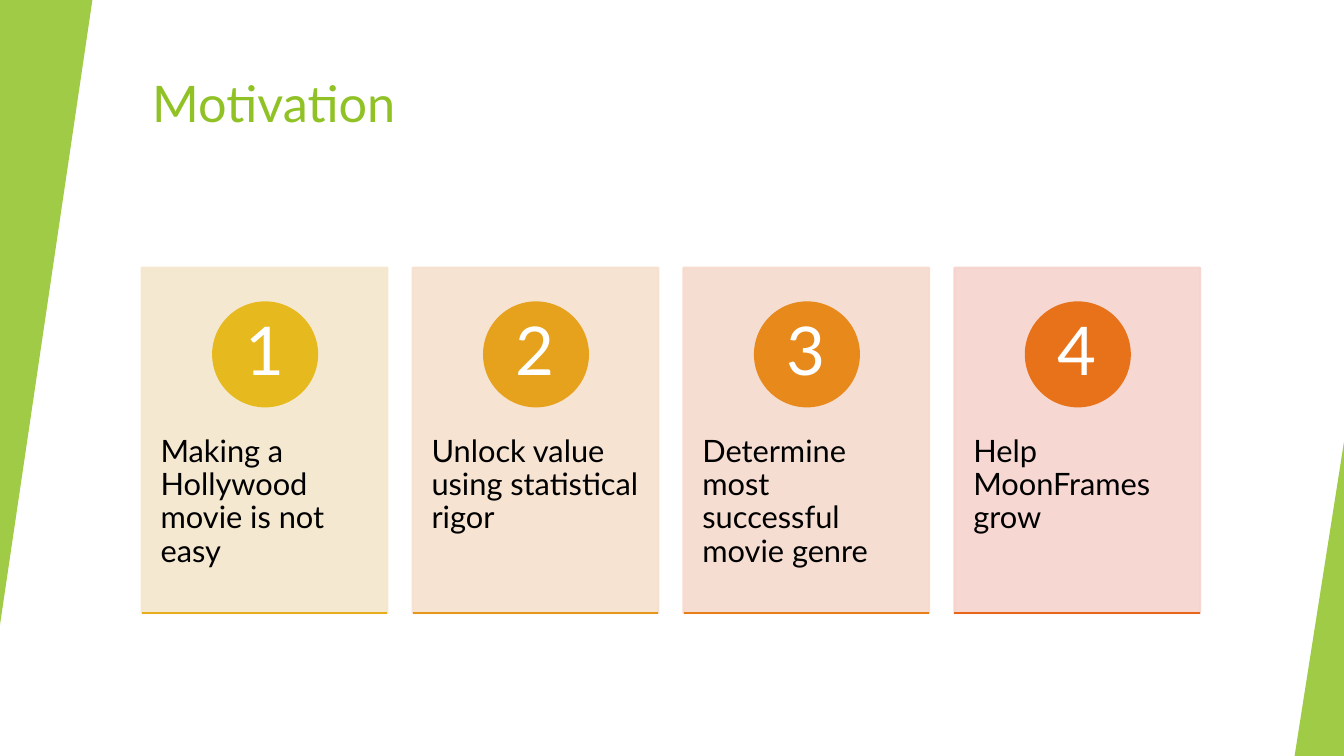
from dataclasses import dataclass
from lxml.etree import SubElement
from pptx import Presentation
from pptx.dml.color import RGBColor
from pptx.enum.shapes import MSO_CONNECTOR, MSO_SHAPE
from pptx.enum.text import MSO_ANCHOR as Anchor, PP_ALIGN as Align
from pptx.oxml.ns import qn
from pptx.slide import Slide
from pptx.util import Emu, Pt

EMU_PER_PX = 9525


@dataclass(frozen=True)
class Theme:
    font: str = "Lato"
    green: str = "90C226"
    ink: str = "000000"
    white: str = "FFFFFF"
    title_size: int = 36
    reason_size: int = 22
    number_size: int = 48
    line_width: float = 1.5
    edge_opacity: int = 85
    card_opacity: int = 90


@dataclass(frozen=True)
class Box:
    left: int
    top: int
    width: int
    height: int

    def emu(self) -> tuple[Emu, Emu, Emu, Emu]:
        return px(self.left), px(self.top), px(self.width), px(self.height)


@dataclass(frozen=True)
class Reason:
    text: str
    card: str
    badge: str
    rule: str


THEME = Theme()
CARD_LEFT, CARD_TOP, CARD_PITCH = 135, 255, 258
CARD_WIDTH, CARD_HEIGHT = 234, 329
BADGE_SIZE, NUMBER_SIZE = 99, 70

REASONS = (
    Reason("Making a Hollywood movie is not easy", "F5E6CD", "E6B91E", "E6AD1D"),
    Reason("Unlock value using statistical rigor", "F6E0CD", "E6A21C", "E6961B"),
    Reason("Determine most successful movie genre", "F6DACC", "E78A1B", "E77E1A"),
    Reason("Help MoonFrames grow", "F6D3CC", "E77219", "E76618"),
)


def px(length: int) -> Emu:
    return Emu(length * EMU_PER_PX)


def rgb(color: str) -> RGBColor:
    return RGBColor.from_string(color)


def add_filled(slide: Slide, kind: MSO_SHAPE, box: Box, color: str, *,
               opacity: int = 100, outlined: bool = False):
    shape = slide.shapes.add_shape(kind, *box.emu())
    shape.shadow.inherit = False
    shape.fill.solid()
    shape.fill.fore_color.rgb = rgb(color)
    if outlined:
        shape.line.color.rgb = rgb(color)
        shape.line.width = Pt(THEME.line_width)
    else:
        shape.line.fill.background()
    if opacity < 100:
        for tint in shape.element.spPr.iter(qn("a:srgbClr")):
            SubElement(tint, qn("a:alpha"), val=str(opacity * 1000))
    return shape


def add_text(slide: Slide, text: str, box: Box, *, size: int, color: str,
             align: Align = Align.LEFT, anchor: Anchor = Anchor.TOP,
             inset_x: int = 10, inset_y: int = 5, spacing: float = 1.0) -> None:
    frame = slide.shapes.add_textbox(*box.emu()).text_frame
    frame.word_wrap = True
    frame.vertical_anchor = anchor
    frame.margin_left = frame.margin_right = px(inset_x)
    frame.margin_top = frame.margin_bottom = px(inset_y)
    paragraph = frame.paragraphs[0]
    paragraph.alignment = align
    paragraph.line_spacing = spacing
    run = paragraph.add_run()
    run.text = text
    run.font.name = THEME.font
    run.font.size = Pt(size)
    run.font.color.rgb = rgb(color)


def add_rule(slide: Slide, left: int, top: int, width: int, color: str) -> None:
    rule = slide.shapes.add_connector(
        MSO_CONNECTOR.STRAIGHT, px(left), px(top), px(left + width), px(top))
    rule.line.color.rgb = rgb(color)
    rule.line.width = Pt(THEME.line_width)
    SubElement(rule.element.spPr, qn("a:effectLst"))


def add_edge(slide: Slide, box: Box, rotation: int = 0) -> None:
    edge = add_filled(slide, MSO_SHAPE.ISOSCELES_TRIANGLE, box, THEME.green,
                      opacity=THEME.edge_opacity)
    edge.adjustments[0] = 1
    edge.rotation = rotation


def add_reason(slide: Slide, index: int, reason: Reason) -> None:
    left = CARD_LEFT + index * CARD_PITCH
    center = left + CARD_WIDTH // 2
    add_filled(slide, MSO_SHAPE.RECTANGLE, Box(left, CARD_TOP, CARD_WIDTH, CARD_HEIGHT),
               reason.card, opacity=THEME.card_opacity, outlined=True)
    add_text(slide, reason.text, Box(left, CARD_TOP + 125, CARD_WIDTH, 197),
             size=THEME.reason_size, color=THEME.ink,
             inset_x=18, inset_y=35, spacing=0.9)
    add_filled(slide, MSO_SHAPE.OVAL,
               Box(center - BADGE_SIZE // 2, CARD_TOP + 33, BADGE_SIZE, BADGE_SIZE),
               reason.badge, outlined=True)
    add_text(slide, str(index + 1),
             Box(center - NUMBER_SIZE // 2, CARD_TOP + 47, NUMBER_SIZE, NUMBER_SIZE),
             size=THEME.number_size, color=THEME.white, align=Align.CENTER,
             anchor=Anchor.MIDDLE, inset_x=8, inset_y=1, spacing=0.9)
    add_rule(slide, left, CARD_TOP + CARD_HEIGHT, CARD_WIDTH, reason.rule)


def main() -> None:
    deck = Presentation()
    deck.slide_width, deck.slide_height = px(1280), px(720)
    slide = deck.slides.add_slide(deck.slide_layouts[6])
    add_edge(slide, Box(0, 0, 88, 595), rotation=180)
    add_edge(slide, Box(1233, 421, 47, 299))
    add_text(slide, "Motivation", Box(135, 64, 1070, 115),
             size=THEME.title_size, color=THEME.green)
    for index, reason in enumerate(REASONS):
        add_reason(slide, index, reason)
    deck.save("out.pptx")


if __name__ == "__main__":
    main()
